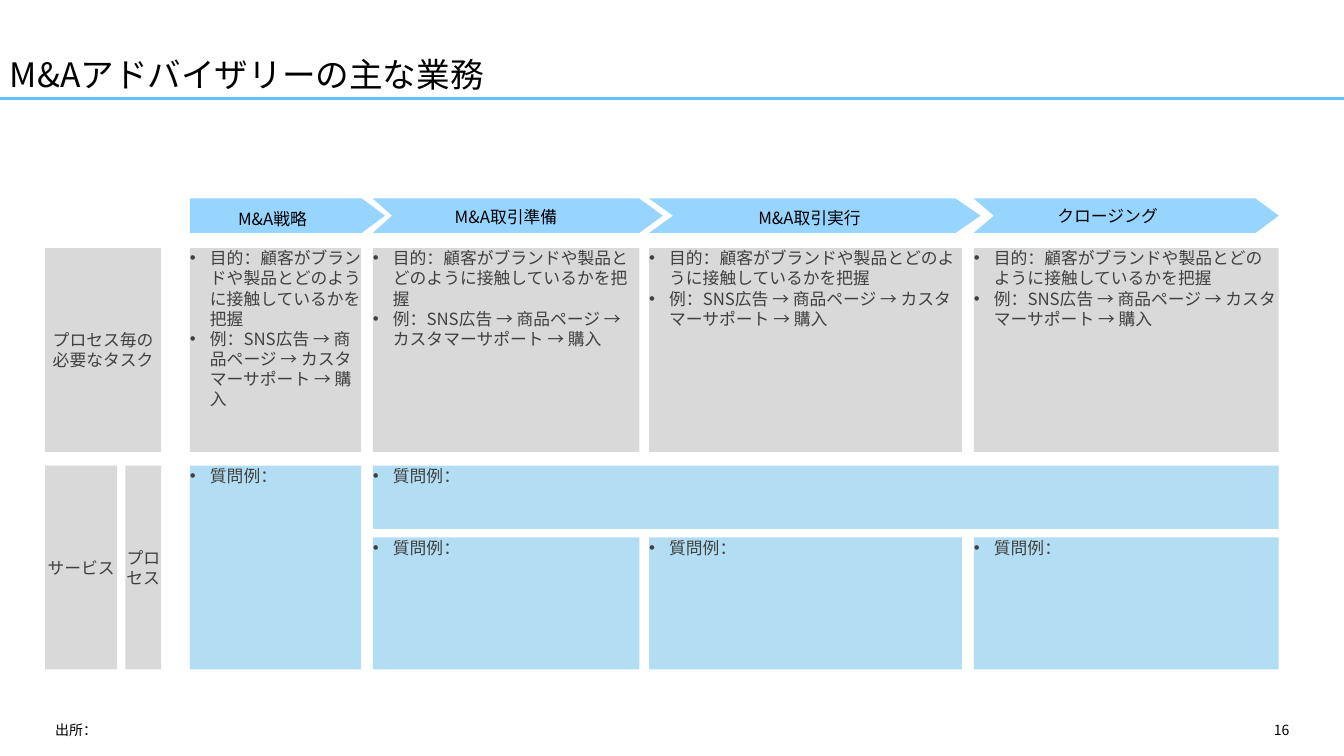
"""Build the slide on the main tasks of M&A advisory, phase by phase."""
import dataclasses

import lxml.etree
import pptx
import pptx.dml.color
import pptx.enum.shapes
import pptx.enum.text
import pptx.oxml.ns
import pptx.util

Pt = pptx.util.Pt
qn = pptx.oxml.ns.qn
ALIGN = pptx.enum.text.PP_ALIGN
ANCHOR = pptx.enum.text.MSO_ANCHOR


@dataclasses.dataclass(frozen=True)
class Theme:
    font: str = "Noto Sans CJK JP"
    black: str = "000000"
    body: str = "404040"
    gray: str = "D9D9D9"
    pale_blue: str = "B3DDF2"
    arrow_blue: str = "97D5FF"
    rule_blue: str = "63C1FF"
    title_size: int = 24
    body_size: int = 12
    footer_size: int = 10


theme = Theme()


def write_text(shape, text, *, size=theme.body_size, color=theme.body, align=ALIGN.LEFT,
               anchor=ANCHOR.TOP, insets=(0, 0), bullet=False, line_spacing=None):
    """Fill a shape with one paragraph for each line of text."""
    frame = shape.text_frame
    frame.word_wrap = True
    frame.vertical_anchor = anchor
    frame.margin_left = frame.margin_right = Pt(insets[0])
    frame.margin_top = frame.margin_bottom = Pt(insets[1])
    for index, line in enumerate(text.split("\n")):
        paragraph = frame.add_paragraph() if index else frame.paragraphs[0]
        paragraph.alignment = align
        paragraph.line_spacing = line_spacing
        if bullet:
            properties = paragraph._p.get_or_add_pPr()
            properties.set("marL", str(Pt(14.4)))
            properties.set("indent", str(Pt(-14.4)))
            lxml.etree.SubElement(properties, qn("a:buFont")).set("typeface", "Arial")
            lxml.etree.SubElement(properties, qn("a:buChar")).set("char", "•")
        run = paragraph.add_run()
        run.text = line
        run.font.size = Pt(size)
        run.font.name = theme.font
        run.font.color.rgb = pptx.dml.color.RGBColor.from_string(color)
        lxml.etree.SubElement(run._r.get_or_add_rPr(), qn("a:ea")).set("typeface", theme.font)


def paint(shape, color):
    """Give a shape a flat fill without line or shadow."""
    shape.shadow.inherit = False
    shape.fill.solid()
    shape.fill.fore_color.rgb = pptx.dml.color.RGBColor.from_string(color)
    shape.line.fill.background()


presentation = pptx.Presentation()
presentation.slide_width = Pt(960)
presentation.slide_height = Pt(540)
slide = presentation.slides.add_slide(presentation.slide_layouts[6])
shapes = slide.shapes

title_rule = shapes.add_connector(
    pptx.enum.shapes.MSO_CONNECTOR.STRAIGHT, 0, Pt(70.6), Pt(960), Pt(70.6))
title_rule.line.color.rgb = pptx.dml.color.RGBColor.from_string(theme.rule_blue)
title_rule.line.width = Pt(2.25)
lxml.etree.SubElement(title_rule._element.spPr, qn("a:effectLst"))

title = shapes.add_textbox(0, 0, Pt(960), Pt(71.3))
write_text(title, "M&Aアドバイザリーの主な業務", size=theme.title_size, color=theme.black,
           anchor=ANCHOR.BOTTOM, insets=(7.2, 3.6), line_spacing=0.9)

footers = [
    (32.4, 609.8, "出所：", ALIGN.LEFT),
    (678.2, 249.8, "16", ALIGN.RIGHT),
]
for left, width, text, align in footers:
    footer = shapes.add_textbox(Pt(left), Pt(511.9), Pt(width), Pt(17.3))
    write_text(footer, text, size=theme.footer_size, color=theme.black,
               align=align, insets=(7.2, 3.6))

task_top, service_top, row_height = 177.2, 332.6, 145.6
banner_height, detail_top = 45.2, 383.9
service_bottom = service_top + row_height
arrow_top, arrow_middle, arrow_bottom = 141.8, 154.1, 166.4

row_labels = [
    (32.2, task_top, 83, "プロセス毎の必要なタスク"),
    (32.2, service_top, 51.6, "サービス"),
    (89.5, service_top, 25.7, "プロセス"),
]
for left, top, width, text in row_labels:
    label = shapes.add_shape(pptx.enum.shapes.MSO_SHAPE.RECTANGLE,
                             Pt(left), Pt(top), Pt(width), Pt(row_height))
    paint(label, theme.gray)
    write_text(label, text, align=ALIGN.CENTER, anchor=ANCHOR.MIDDLE)

tasks = ("目的：顧客がブランドや製品とどのように接触しているかを把握\n"
         "例：SNS広告 → 商品ページ → カスタマーサポート → 購入")
question = "質問例："

# name, left, width, notch, shoulder, tip, name left, name top, name width
phases = [
    ("M&A戦略", 135.6, 122.4, 135.6, 258.4, 275, 135.6, 149, 118),
    ("M&A取引準備", 266.3, 190.4, 280.1, 456.7, 473.4, 302.4, 147.6, 118),
    ("M&A取引実行", 463.6, 223.6, 480.8, 682.6, 700.4, 474.5, 148.3, 207.4),
    ("クロージング", 695.6, 217.8, 709.9, 896.9, 913.4, 725, 146.9, 132.5),
]
blocks = []
for name, left, width, notch, shoulder, tip, name_left, name_top, name_width in phases:
    builder = shapes.build_freeform(Pt(left), Pt(arrow_top))
    outline = [(shoulder, arrow_top), (tip, arrow_middle), (shoulder, arrow_bottom),
               (left, arrow_bottom), (notch, arrow_middle)]
    builder.add_line_segments([(Pt(x), Pt(y)) for x, y in outline], close=True)
    paint(builder.convert_to_shape(), theme.arrow_blue)

    heading = shapes.add_textbox(Pt(name_left), Pt(name_top), Pt(name_width), Pt(14.4))
    write_text(heading, name, color=theme.black, align=ALIGN.CENTER)

    question_top = detail_top if blocks else service_top
    blocks.append((left, task_top, width, row_height, theme.gray, tasks))
    blocks.append((left, question_top, width, service_bottom - question_top,
                   theme.pale_blue, question))

banner_left = phases[1][1]
banner_width = phases[-1][1] + phases[-1][2] - banner_left
blocks.append((banner_left, service_top, banner_width, banner_height,
               theme.pale_blue, question))

for left, top, width, height, color, text in blocks:
    block = shapes.add_shape(pptx.enum.shapes.MSO_SHAPE.RECTANGLE,
                             Pt(left), Pt(top), Pt(width), Pt(height))
    paint(block, color)
    write_text(block, text, bullet=True)

presentation.save("out.pptx")
